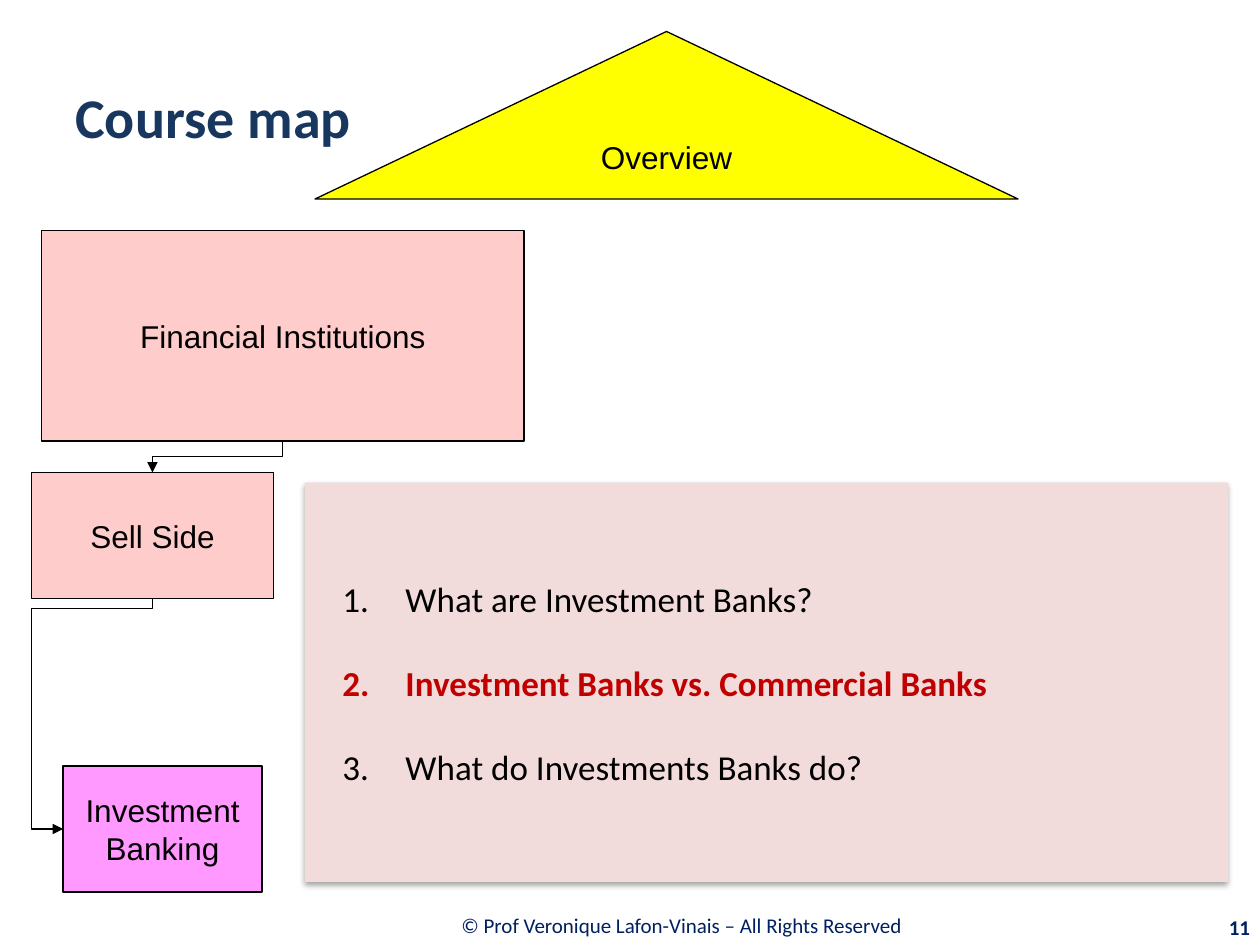
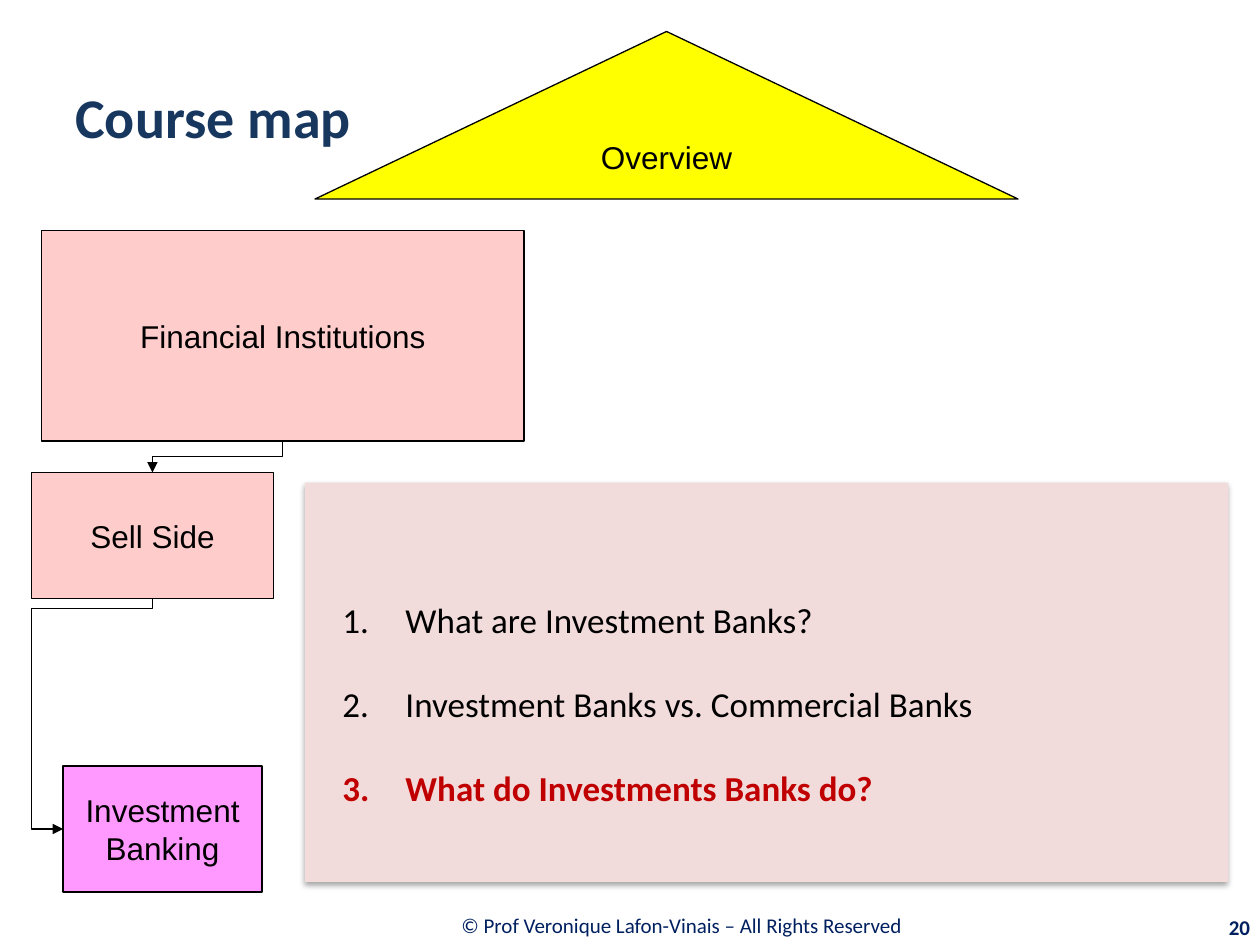
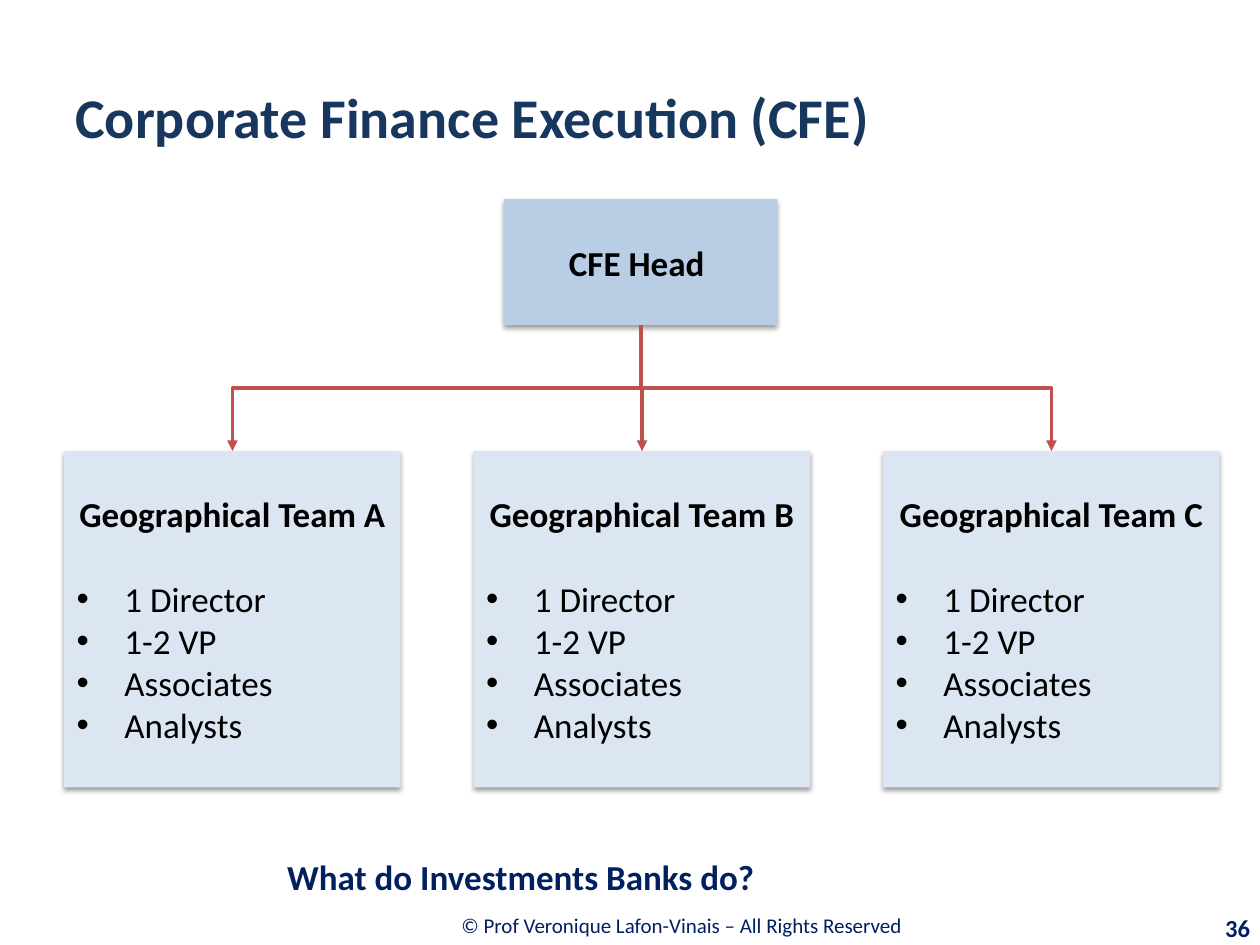
import pptx
import pptx.util
import pptx.dml.color
import pptx.enum.shapes
import pptx.enum.text
import pptx.oxml
import pptx.oxml.ns

Inches, Pt = pptx.util.Inches, pptx.util.Pt
qn = pptx.oxml.ns.qn
SHAPE = pptx.enum.shapes.MSO_SHAPE
ALIGN = pptx.enum.text.PP_ALIGN
A_NS = pptx.oxml.ns.nsdecls("a")

COLORS = {
    "black": "000000",
    "title": "17375E",
    "navy": "002060",
    "highlight": "C00000",
    "institution": "FFCCCC",
    "banking": "FF99FF",
    "overview": "FFFF00",
    "agenda": "F2DCDB",
    "head": "B9CDE5",
    "team": "DCE6F2",
    "arrow": "C0504D",
}
TOPICS = ["What are Investment Banks?",
          "Investment Banks vs. Commercial Banks",
          "What do Investments Banks do?"]
TEAM_ROLES = ["1 Director", "1-2 VP", "Associates", "Analysts"]
BOTTOM, TOP, LEFT = 2, 0, 1  # connection sites of a rectangle


def rgb(name):
    return pptx.dml.color.RGBColor.from_string(COLORS[name])


# Text
def add_run(p, text, size, color="black", bold=False, font="Calibri"):
    r = p.add_run()
    r.text = text
    r.font.name, r.font.size, r.font.bold = font, Pt(size), bold
    r.font.color.rgb = rgb(color)


def set_bullet(p, bullet, margin, indent):
    pPr = p._p.get_or_add_pPr()
    pPr.set("marL", str(Inches(margin)))
    pPr.set("indent", str(Inches(indent)))
    pPr.append(pptx.oxml.parse_xml(bullet.replace("/>", f" {A_NS}/>")))


def set_frame(tf, wrap=True):
    tf.word_wrap = wrap
    tf.vertical_anchor = pptx.enum.text.MSO_ANCHOR.MIDDLE


def add_text(slide, box, text, size, color, bold=True, align=ALIGN.LEFT):
    tf = slide.shapes.add_textbox(*map(Inches, box)).text_frame
    set_frame(tf)
    p = tf.paragraphs[0]
    p.alignment = align
    add_run(p, text, size, color, bold)


# Shapes
def add_box(slide, box, fill, kind=SHAPE.RECTANGLE, outlined=True, wrap=False):
    sp = slide.shapes.add_shape(kind, *map(Inches, box))
    sp.shadow.inherit = False
    sp.fill.solid()
    sp.fill.fore_color.rgb = rgb(fill)
    if outlined:
        sp.line.color.rgb = rgb("black")
        sp.line.width = Pt(0.75)
    else:
        sp.line.fill.background()
    set_frame(sp.text_frame, wrap)
    return sp


def add_map_box(slide, box, text, fill, **options):
    sp = add_box(slide, box, fill, **options)
    p = sp.text_frame.paragraphs[0]
    p.alignment = ALIGN.CENTER
    add_run(p, text, 18, font="Arial")
    return sp


def add_card(slide, box, fill, distance, alpha, wrap=False):
    """A borderless box with a soft shadow below it."""
    sp = add_box(slide, box, fill, outlined=False, wrap=wrap)
    sp._element.spPr.find(qn("a:effectLst")).append(pptx.oxml.parse_xml(
        f'<a:outerShdw {A_NS} blurRad="{Pt(3.1)}" dist="{Pt(distance)}" '
        f'dir="5400000" rotWithShape="0"><a:srgbClr val="{COLORS["black"]}">'
        f'<a:alpha val="{alpha * 1000}"/></a:srgbClr></a:outerShdw>'))
    return sp


def add_elbow(slide, start, end, end_site=TOP, color="black", width=0.75,
              preset="bentConnector3", adjust=(50000,)):
    """An elbow arrow that leaves the bottom of start and first runs down."""
    cxn = slide.shapes.add_connector(
        pptx.enum.shapes.MSO_CONNECTOR.ELBOW, 0, 0, 0, 0)
    cxn.begin_connect(start, BOTTOM)
    cxn.end_connect(end, end_site)
    dx, dy = cxn.end_x - cxn.begin_x, cxn.end_y - cxn.begin_y
    mid_x, mid_y = cxn.begin_x + dx // 2, cxn.begin_y + dy // 2

    # Turn the frame so that its horizontal axis points down
    spPr = cxn._element.spPr
    xfrm = spPr.find(qn("a:xfrm"))
    xfrm.set("rot", "16200000" if dx > 0 else "5400000")
    xfrm.set("flipH", "1" if dx > 0 else "0")
    xfrm.set("flipV", "0")
    cxn.width, cxn.height = dy, abs(dx)
    cxn.left, cxn.top = mid_x - dy // 2, mid_y - abs(dx) // 2

    geom = spPr.find(qn("a:prstGeom"))
    geom.set("prst", preset)
    guides = geom.find(qn("a:avLst"))
    for i, value in enumerate(adjust, 1):
        guides.append(pptx.oxml.parse_xml(
            f'<a:gd {A_NS} name="adj{i}" fmla="val {value}"/>'))

    cxn.line.color.rgb = rgb(color)
    cxn.line.width = Pt(width)
    spPr.find(qn("a:ln")).append(
        pptx.oxml.parse_xml(f'<a:tailEnd {A_NS} type="triangle"/>'))
    spPr.append(pptx.oxml.parse_xml(f"<a:effectLst {A_NS}/>"))


# Slides
def add_slide(prs, title, number, number_size=12):
    slide = prs.slides.add_slide(prs.slide_layouts[6])
    add_text(slide, (2.19, 7.15, 6.48, 0.39),
             "© Prof Veronique Lafon-Vinais – All Rights Reserved ",
             12, "navy", bold=False, align=ALIGN.CENTER)
    add_text(slide, (0.5, 0.3, 9, 1.25), title, 32, "title")
    add_text(slide, (9.01, 7.2, 1.01, 0.32), str(number), number_size,
             "navy", align=ALIGN.RIGHT)
    return slide


def add_course_map(prs, number, current, first_spacing):
    slide = add_slide(prs, "Course map", number)
    sell_side = add_map_box(slide, (0.25, 3.75, 1.92, 1), "Sell Side",
                            "institution")
    institutions = add_map_box(slide, (0.33, 1.83, 3.83, 1.67),
                               "Financial Institutions", "institution")
    add_map_box(slide, (2.5, 0.25, 5.58, 1.33), "Overview", "overview",
                kind=SHAPE.FLOWCHART_EXTRACT)
    banking = add_map_box(slide, (0.5, 6.08, 1.58, 1), "Investment Banking",
                          "banking", wrap=True)
    add_elbow(slide, institutions, sell_side)
    add_elbow(slide, sell_side, banking, LEFT, preset="bentConnector4",
              adjust=(4300, 135300))

    # Agenda with the current topic highlighted
    tf = add_card(slide, (2.42, 3.83, 7.33, 3.17), "agenda", 1.8, 35,
                  wrap=True).text_frame
    for i, topic in enumerate(TOPICS):
        p = tf.add_paragraph() if i else tf.paragraphs[0]
        p.alignment = ALIGN.LEFT
        p.line_spacing = 2.0 if i else first_spacing
        set_bullet(p, '<a:buAutoNum type="arabicPeriod"/>', 0.7, -0.5)
        active = i == current
        add_run(p, topic, 20, "highlight" if active else "black", active)


def add_team(slide, left, name):
    sp = add_card(slide, (left, 3.58, 2.67, 2.67), "team", 1.6, 38)
    tf = sp.text_frame
    p = tf.paragraphs[0]
    p.alignment = ALIGN.CENTER
    add_run(p, f"Geographical Team {name}", 20, bold=True)
    for i, role in enumerate(TEAM_ROLES):
        p = tf.add_paragraph()
        p.alignment = ALIGN.LEFT
        if i == 0:
            p.space_before = Pt(24.4)
        set_bullet(p, '<a:buFont typeface="Arial"/>', 0.38, -0.38)
        set_bullet(p, '<a:buChar char="•"/>', 0.38, -0.38)
        add_run(p, role, 20)
    return sp


def add_team_chart(prs):
    slide = add_slide(prs, "Corporate Finance Execution (CFE)", 36, 14)
    head = add_card(slide, (4, 1.58, 2.17, 1), "head", 1.6, 38)
    p = head.text_frame.paragraphs[0]
    p.alignment = ALIGN.CENTER
    add_run(p, "CFE Head ", 20, bold=True)
    teams = [add_team(slide, 0.51 + 3.25 * i, name)
             for i, name in enumerate("ABC")]
    for team in teams:
        add_elbow(slide, head, team, color="arrow", width=2)
    add_text(slide, (2.18, 6.72, 7.82, 0.47), TOPICS[2], 20, "navy")


def main():
    prs = pptx.Presentation()
    prs.slide_width, prs.slide_height = Inches(10), Inches(7.5)
    add_course_map(prs, 11, current=1, first_spacing=1.0)
    add_course_map(prs, 20, current=2, first_spacing=2.0)
    add_team_chart(prs)
    prs.save("out.pptx")


if __name__ == "__main__":
    main()
